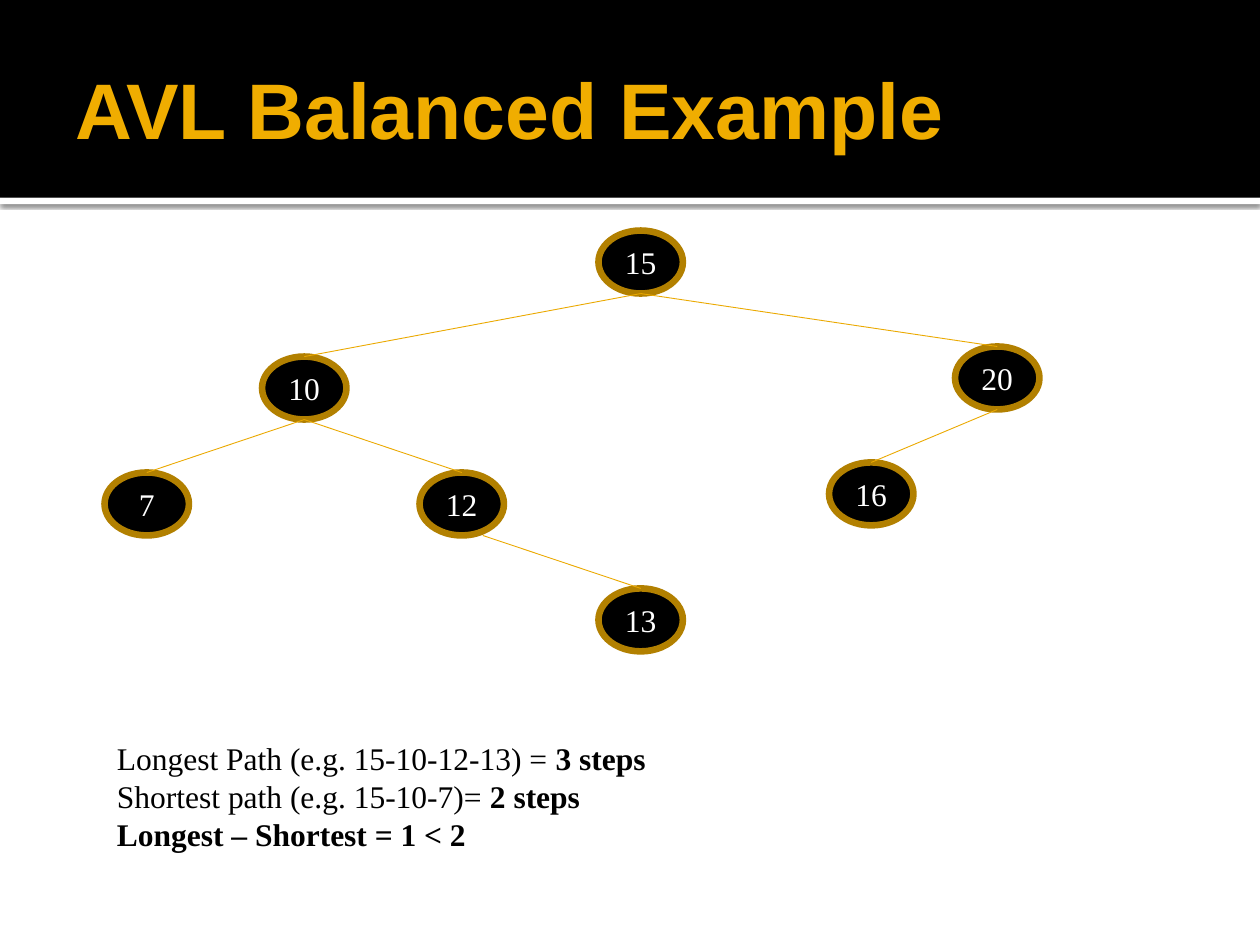
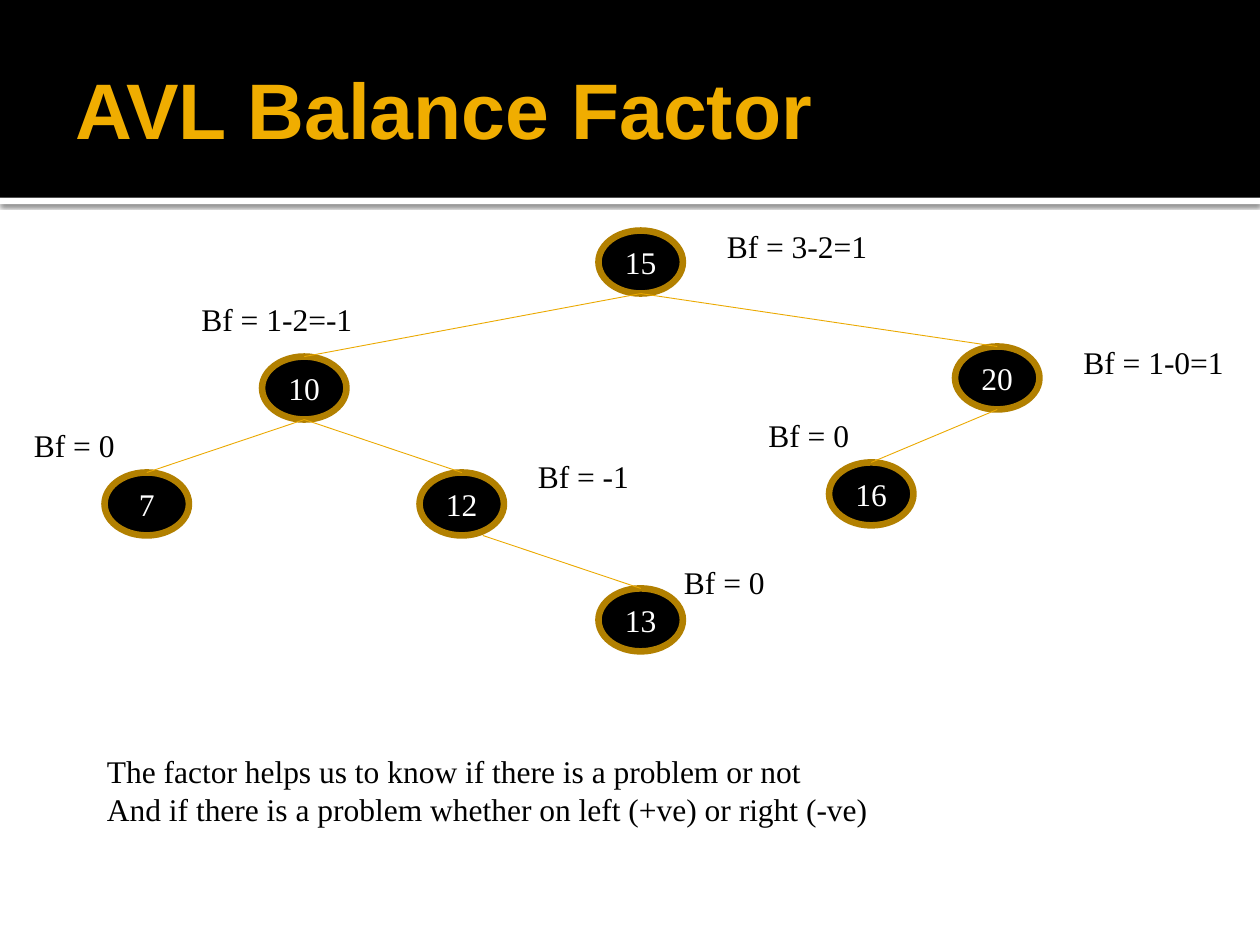
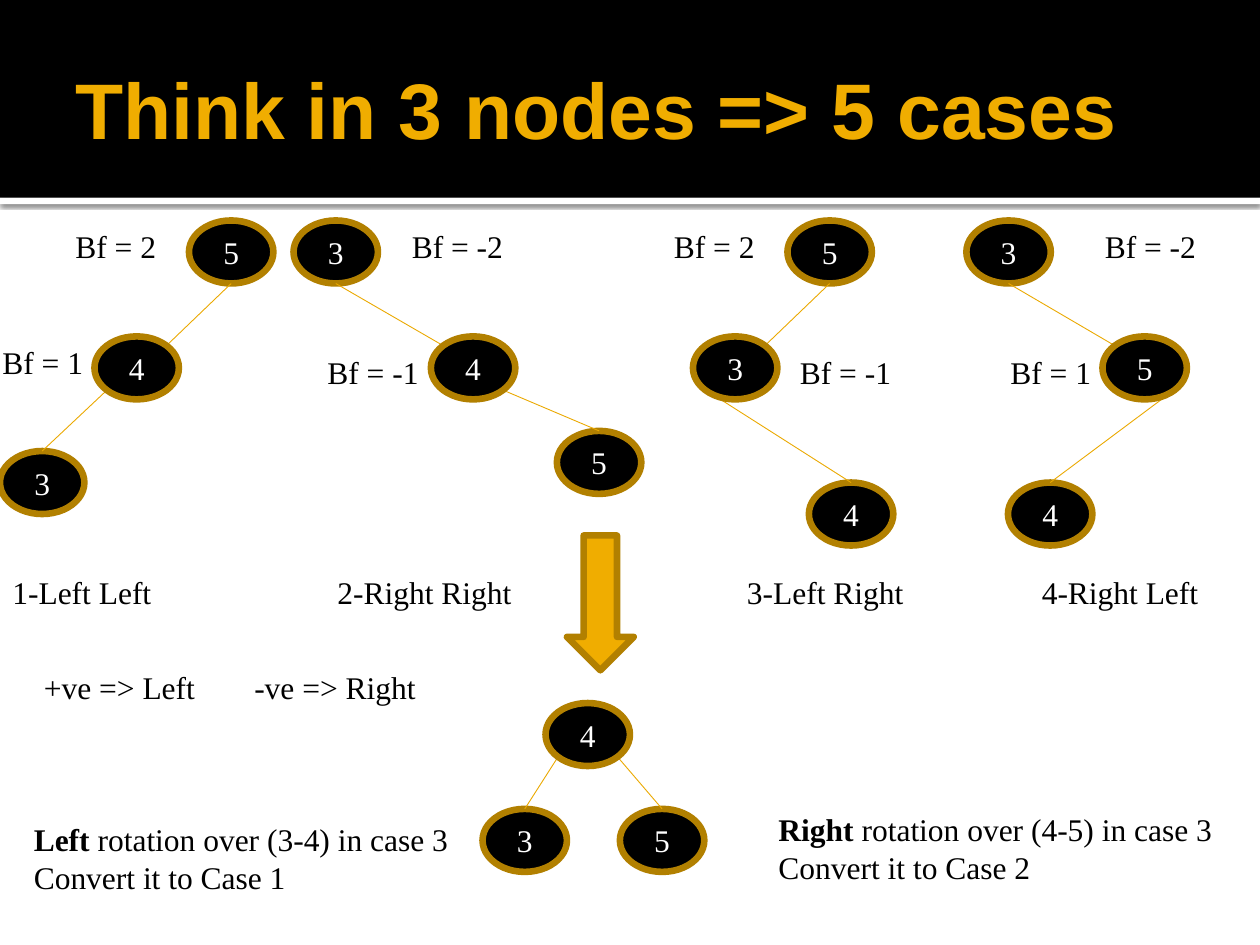
from lxml import etree
from pptx import Presentation
from pptx.dml.color import RGBColor
from pptx.enum.shapes import MSO_CONNECTOR, MSO_SHAPE
from pptx.enum.text import MSO_ANCHOR, MSO_AUTO_SIZE, PP_ALIGN
from pptx.oxml.ns import qn
from pptx.util import Inches, Pt

OVAL = MSO_SHAPE.OVAL
RECTANGLE = MSO_SHAPE.RECTANGLE
DOWN_ARROW = MSO_SHAPE.DOWN_ARROW
STRAIGHT = MSO_CONNECTOR.STRAIGHT
MIDDLE = MSO_ANCHOR.MIDDLE
CENTER = PP_ALIGN.CENTER
FIT_SHAPE = MSO_AUTO_SIZE.SHAPE_TO_FIT_TEXT

BLACK, WHITE = "000000", "FFFFFF"
GOLD, DARK_GOLD, EDGE_GOLD = "F0AD00", "B28000", "EBA900"
TITLE_FONT, BODY_FONT = "Arial", "Times New Roman"
SLIDE_WIDTH, SLIDE_HEIGHT, BAND_HEIGHT = 10, 7.5, 1.57
NODE_WIDTH, NODE_HEIGHT = 0.67, 0.5
LINE_HEIGHT, LINE_STEP = 0.4, 0.3

PORTS = {
    "top": (0.5, 0), "bottom": (0.5, 1), "bottom right": (0.75, 1),
    "upper left": (0.15, 0.15), "upper right": (0.85, 0.15),
    "lower left": (0.15, 0.85), "lower right": (0.85, 0.85),
}

TREE_NODES = {
    "15": (3.92, 0), "10": (1.25, 1), "20": (6.75, 0.92), "7": (0, 1.92),
    "12": (2.5, 1.92), "16": (5.75, 1.84), "13": (3.92, 2.84),
}
TREE_EDGES = [
    ("15", "bottom", "10"), ("15", "bottom", "20"), ("10", "bottom", "7"),
    ("10", "bottom", "12"), ("20", "bottom", "16"), ("12", "bottom right", "13"),
]
TREE_FACTORS = [
    ("Bf = 0", 4.5, 2.59, 0.85), ("Bf = -1", 3.34, 1.75, 0.93),
    ("Bf = 1-2=-1", 0.67, 0.5, 1.41), ("Bf = 0", -0.66, 1.5, 0.85),
    ("Bf = 0", 5.17, 1.42, 0.85), ("Bf = 1-0=1", 7.67, 0.84, 1.33),
    ("Bf = 3-2=1", 4.84, -0.08, 1.33),
]
CASES = [
    (1.5, [("5", 0, 0), ("4", -0.75, 0.92), ("3", -1.5, 1.83)]),
    (2.33, [("3", 0, 0), ("4", 1.09, 0.92), ("5", 2.09, 1.67)]),
    (6.25, [("5", 0, 0), ("3", -0.75, 0.92), ("4", 0.17, 2.08)]),
    (7.67, [("3", 0, 0), ("5", 1.08, 0.92), ("4", 0.33, 2.08)]),
]
CASE_LABELS = [
    ("1-Left Left", 0, 2.75, 1.38), ("2-Right Right", 2.58, 2.75, 1.6),
    ("3-Left Right", 5.83, 2.75, 1.46), ("4-Right Left", 8.17, 2.75, 1.46),
    ("Bf = 2", 0.5, 0, 0.85), ("Bf = -2", 3.17, 0, 0.93),
    ("Bf = 2", 5.25, 0, 0.85), ("Bf = -2", 8.67, 0, 0.93),
    ("Bf = 1", -0.08, 0.92, 0.85), ("Bf = -1", 2.5, 1, 0.93),
    ("Bf = -1", 6.25, 1, 0.93), ("Bf = 1", 7.92, 1, 0.85),
    ("+ve => Left", 0.25, 3.5, 1.41), ("-ve => Right", 1.92, 3.5, 1.5),
]


def color(value):
    """Turn a hex string into a colour."""
    return RGBColor.from_string(value)


def style_font(font, name, size, value, bold=False):
    """Set the face, size, colour and weight of a font."""
    font.name, font.size, font.bold = name, Pt(size), bold
    font.color.rgb = color(value)


def add_box(page, kind, left, top, width, height, fill, outline=None):
    """Add a flat preset shape with an optional heavy outline."""
    box = page.shapes.add_shape(kind, Inches(left), Inches(top), Inches(width), Inches(height))
    box.shadow.inherit = False
    box.fill.solid()
    box.fill.fore_color.rgb = color(fill)
    if outline:
        box.line.color.rgb = color(outline)
        box.line.width = Pt(3.78)
    else:
        box.line.fill.background()
    return box


def add_soft_shadow(box):
    """Give a shape a blurred shadow just below it."""
    effects = box._element.spPr.find(qn("a:effectLst"))
    shadow = etree.SubElement(effects, qn("a:outerShdw"), blurRad=str(Pt(2.5)),
                              dist=str(Pt(0.8)), dir="5400000", algn="t", rotWithShape="0")
    tone = etree.SubElement(shadow, qn("a:srgbClr"), val=BLACK)
    etree.SubElement(tone, qn("a:alpha"), val="60000")


def add_text(page, left, top, width, lines, wrap=False):
    """Add body lines, each a list of (text, bold) spans."""
    height = LINE_HEIGHT + LINE_STEP * (len(lines) - 1)
    box = page.shapes.add_textbox(Inches(left), Inches(top), Inches(width), Inches(height))
    frame = box.text_frame
    frame.word_wrap = wrap
    frame.auto_size = FIT_SHAPE
    for index, spans in enumerate(lines):
        para = frame.add_paragraph() if index else frame.paragraphs[0]
        for text, bold in spans:
            span = para.add_run()
            span.text = text
            style_font(span.font, BODY_FONT, 18, BLACK, bold)


def add_labels(page, left, top, labels):
    """Place one-line labels relative to a corner."""
    for text, across, down, width in labels:
        add_text(page, left + across, top + down, width, [[(text, False)]])


def add_node(page, value, left, top):
    """Add a tree node and return its corner."""
    box = add_box(page, OVAL, left, top, NODE_WIDTH, NODE_HEIGHT, BLACK, DARK_GOLD)
    frame = box.text_frame
    frame.text = value
    frame.vertical_anchor = MIDDLE
    para = frame.paragraphs[0]
    para.alignment = CENTER
    style_font(para.runs[0].font, BODY_FONT, 18, WHITE)
    return left, top


def port_point(corner, port):
    """Return the named point on the node at this corner."""
    across, down = PORTS[port]
    return Inches(corner[0] + across * NODE_WIDTH), Inches(corner[1] + down * NODE_HEIGHT)


def add_edge(page, parent, parent_port, child, child_port="top"):
    """Join two nodes with a thin line."""
    edge = page.shapes.add_connector(
        STRAIGHT, *port_point(parent, parent_port), *port_point(child, child_port))
    edge.line.color.rgb = color(EDGE_GOLD)
    edge.line.width = Pt(0.5)
    etree.SubElement(edge._element.spPr, qn("a:effectLst"))


def draw_tree(page, left, top):
    """Draw the seven-node tree from its upper left corner."""
    corners = {value: add_node(page, value, left + across, top + down)
               for value, (across, down) in TREE_NODES.items()}
    for parent, port, child in TREE_EDGES:
        add_edge(page, corners[parent], port, corners[child])


def draw_case(page, left, top, nodes):
    """Draw a three-node chain whose top node is at the given corner."""
    upper, middle, lower = [(left + across, top + down) for _, across, down in nodes]
    near, away = ("right", "left") if upper[0] > middle[0] else ("left", "right")
    add_node(page, nodes[0][0], *upper)
    add_node(page, nodes[2][0], *lower)
    add_edge(page, upper, "bottom", middle, f"upper {near}")
    add_edge(page, middle, f"lower {away}", lower)
    add_node(page, nodes[1][0], *middle)


def draw_balanced(page, left, top):
    """Draw the balanced three-node result with its root at the given corner."""
    for value, across, side in (("5", 0.59, "right"), ("3", -0.5, "left")):
        child = add_node(page, value, left + across, top + 0.84)
        add_edge(page, (left, top), f"lower {side}", child)
    add_node(page, "4", left, top)


def add_page(deck, title):
    """Add a slide with the black title band."""
    page = deck.slides.add_slide(deck.slide_layouts[6])
    add_soft_shadow(add_box(page, RECTANGLE, 0, BAND_HEIGHT, SLIDE_WIDTH, 0.05, WHITE))
    add_box(page, RECTANGLE, 0, 0, SLIDE_WIDTH, BAND_HEIGHT, BLACK)
    box = page.shapes.add_textbox(Inches(0.5), Inches(0.17), Inches(9), Inches(1.37))
    frame = box.text_frame
    frame.text = title
    frame.word_wrap = True
    frame.vertical_anchor = MIDDLE
    frame.margin_right = Inches(0.05)
    style_font(frame.paragraphs[0].runs[0].font, TITLE_FONT, 45, GOLD, True)
    return page


def build_example(deck):
    """Build the balanced tree slide."""
    page = add_page(deck, "AVL Balanced Example")
    draw_tree(page, 0.83, 1.83)
    add_text(page, 0.83, 5.82, 4.58, [
        [("Longest Path (e.g. 15-10-12-13) = ", False), ("3 steps", True)],
        [("Shortest path (e.g. 15-10-7)= ", False), ("2 steps", True)],
        [("Longest – Shortest = 1 < 2", True)],
    ], wrap=True)


def build_factor(deck):
    """Build the balance factor slide."""
    page = add_page(deck, "AVL Balance Factor")
    draw_tree(page, 0.83, 1.83)
    add_labels(page, 0.83, 1.83, TREE_FACTORS)
    add_text(page, 0.75, 5.92, 6.42, [
        [("The factor helps us to know if there is a problem or not", False)],
        [("And if there is a problem whether on left (+ve) or right (-ve)", False)],
    ])


def build_cases(deck):
    """Build the slide of rotation cases."""
    page = add_page(deck, "Think in 3 nodes => 5 cases")
    for left, nodes in CASES:
        draw_case(page, left, 1.75, nodes)
    draw_balanced(page, 4.33, 5.58)
    add_labels(page, 0, 1.75, CASE_LABELS)
    rotations = (("Left ", "3-4", "1", 0.17, 6.46, 3.53), ("Right ", "4-5", "2", 6.08, 6.38, 3.68))
    for side, pair, result, left, top, width in rotations:
        add_text(page, left, top, width, [
            [(side, True), (f"rotation over ({pair}) in case 3", False)],
            [(f"Convert it to Case {result}", False)],
        ])
    add_box(page, DOWN_ARROW, 4.5, 4.25, 0.53, 1.07, GOLD, DARK_GOLD)


def main():
    """Build and save the deck."""
    deck = Presentation()
    deck.slide_width, deck.slide_height = Inches(SLIDE_WIDTH), Inches(SLIDE_HEIGHT)
    build_example(deck)
    build_factor(deck)
    build_cases(deck)
    deck.save("out.pptx")


if __name__ == "__main__":
    main()
